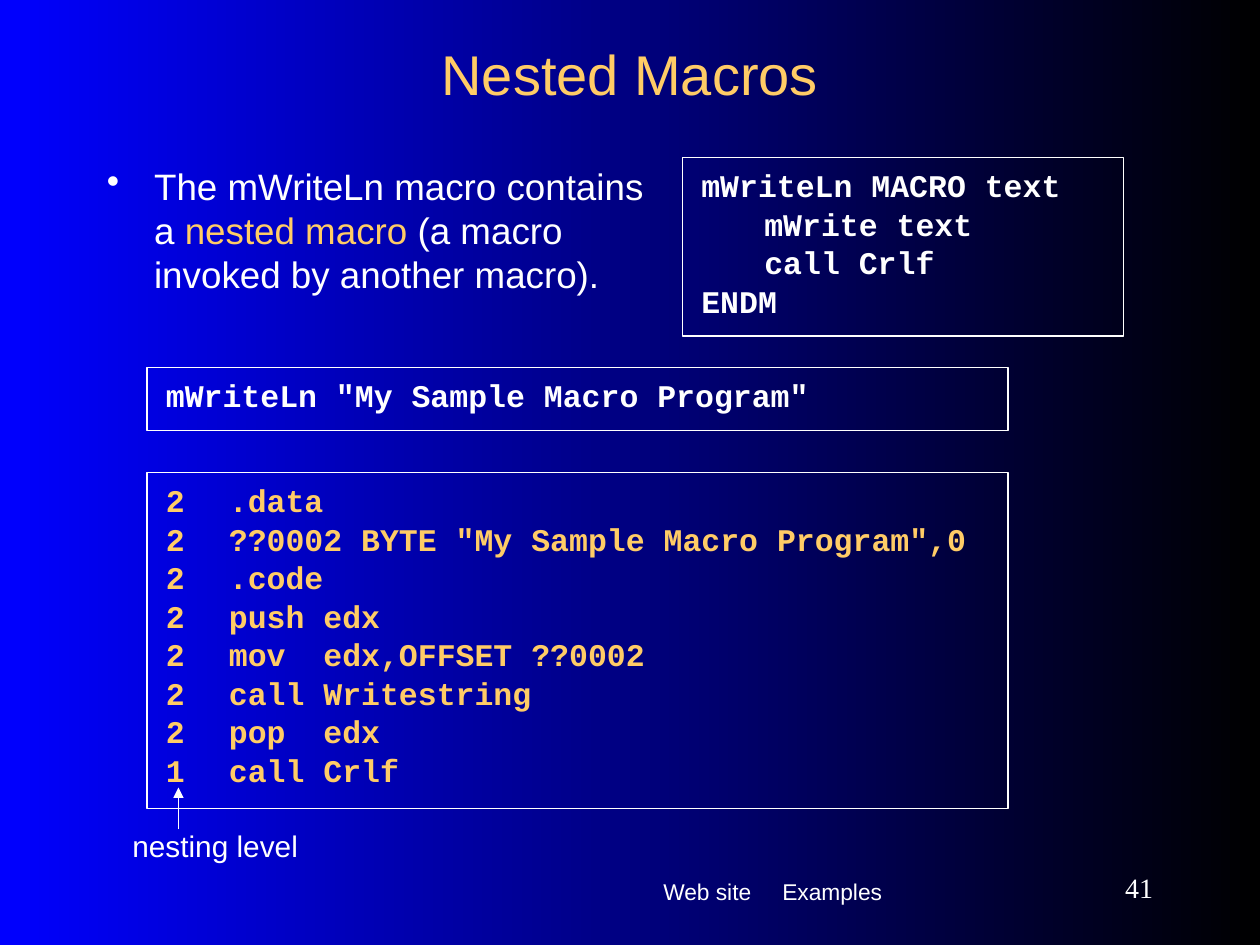
from dataclasses import dataclass

from lxml.etree import SubElement as sub
from pptx import Presentation
from pptx.dml.color import RGBColor as RGB
from pptx.enum.shapes import MSO_CONNECTOR as LINK, MSO_SHAPE as KIND
from pptx.enum.text import MSO_ANCHOR as ANCHOR, MSO_AUTO_SIZE as FIT, PP_ALIGN as ALIGN
from pptx.oxml.ns import qn
from pptx.util import Pt


@dataclass(frozen=True)
class Theme:
    white: RGB = RGB(255, 255, 255)
    gold: RGB = RGB(255, 204, 102)
    blue: RGB = RGB(0, 0, 255)
    black: RGB = RGB(0, 0, 0)
    sans: str = "Arial"
    mono: str = "Courier New"
    serif: str = "Times New Roman"
    head: int = 32
    body: int = 21
    code: int = 18
    label: int = 17
    page: int = 16
    foot: int = 13
    line: float = 0.75


T = Theme()

MACRO = ["mWriteLn MACRO text", "\tmWrite text", "\tcall Crlf", "ENDM"]
USE = ['mWriteLn "My Sample Macro Program"']
LISTING = [
    "2\t.data",
    '2\t??0002 BYTE "My Sample Macro Program",0',
    "2\t.code",
    "2\tpush edx",
    "2\tmov  edx,OFFSET ??0002",
    "2\tcall Writestring",
    "2\tpop  edx",
    "1\tcall Crlf",
]


def style(para, name, size, color, bold=False):
    font = para.font
    font.name, font.size, font.bold = name, Pt(size), bold
    font.color.rgb = color


def set_tab(para, pos):
    tabs = sub(para._p.get_or_add_pPr(), qn("a:tabLst"))
    sub(tabs, qn("a:tab"), pos=str(Pt(pos)), algn="l")


def set_frame(shape, pad_x, pad_y, anchor=ANCHOR.TOP):
    frame = shape.text_frame
    frame.word_wrap = True
    frame.auto_size = FIT.NONE
    frame.vertical_anchor = anchor
    frame.margin_left = frame.margin_right = Pt(pad_x)
    frame.margin_top = frame.margin_bottom = Pt(pad_y)
    return frame


def add_title(slide, text):
    title = slide.shapes.title
    title.left, title.top, title.width, title.height = map(Pt, (54, 18, 612, 48))
    para = set_frame(title, 7.2, 3.6, ANCHOR.MIDDLE).paragraphs[0]
    para.text = text
    para.alignment = ALIGN.CENTER
    style(para, T.sans, T.head, T.gold)


def add_text(slide, box, text, name, size, pad=10.8, align=ALIGN.LEFT,
             anchor=ANCHOR.TOP, tab=None):
    shape = slide.shapes.add_textbox(*map(Pt, box))
    para = set_frame(shape, 7.2, pad, anchor).paragraphs[0]
    para.text = text
    para.alignment = align
    if tab:
        set_tab(para, tab)
    style(para, name, size, T.white)


def add_bullet(slide, box, parts):
    """Add one bulleted paragraph from (text, color) parts."""
    shape = slide.shapes.add_textbox(*map(Pt, box))
    para = set_frame(shape, 7.2, 3.6).paragraphs[0]
    props = para._p.get_or_add_pPr()
    props.set("marL", str(Pt(27)))
    props.set("indent", str(Pt(-27)))
    tint = sub(props, qn("a:buClr"))
    sub(tint, qn("a:srgbClr"), val=str(T.white))
    sub(props, qn("a:buChar"), char="•")
    style(para, T.sans, T.body, T.white)
    for text, color in parts:
        run = para.add_run()
        run.text = text
        run.font.color.rgb = color


def add_code(slide, box, lines, color):
    shape = slide.shapes.add_shape(KIND.RECTANGLE, *map(Pt, box))
    shape.shadow.inherit = False
    shape.fill.background()
    shape.line.color.rgb = T.white
    shape.line.width = Pt(T.line)
    frame = set_frame(shape, 10.8, 14.4)
    for i, line in enumerate(lines):
        para = frame.add_paragraph() if i else frame.paragraphs[0]
        para.text = line
        para.alignment = ALIGN.LEFT
        para.line_spacing = 0.5
        if i:
            para.space_before = Pt(11.2)
        set_tab(para, 36)
        style(para, T.mono, T.code, color, bold=True)


def add_arrow(slide, x, start, end):
    link = slide.shapes.add_connector(LINK.STRAIGHT, Pt(x), Pt(start), Pt(x), Pt(end))
    link.line.color.rgb = T.white
    link.line.width = Pt(T.line)
    sub(link.line._get_or_add_ln(), qn("a:tailEnd"), type="triangle")
    sub(link._element.spPr, qn("a:effectLst"))


def set_back(slide):
    fill = slide.background.fill
    fill.gradient()
    fill.gradient_angle = 180
    for stop, color in zip(fill.gradient_stops, (T.black, T.blue)):
        stop.color.rgb = color


def main():
    deck = Presentation()
    deck.slide_width, deck.slide_height = Pt(720), Pt(540)
    slide = deck.slides.add_slide(deck.slide_layouts[5])
    set_back(slide)
    add_text(slide, (372, 491, 216, 37), "Web site\tExamples", T.sans, T.foot, tab=68)
    add_title(slide, "Nested Macros")
    add_bullet(slide, (54, 90, 330, 102), [
        ("The mWriteLn macro contains a ", T.white),
        ("nested macro", T.gold),
        (" (a macro invoked by another macro).", T.white),
    ])
    add_code(slide, (390, 90, 252, 102), MACRO, T.white)
    add_code(slide, (84, 210, 492, 36), USE, T.white)
    add_code(slide, (84, 270, 492, 192), LISTING, T.gold)
    add_text(slide, (18, 462, 210, 42), "nesting level", T.sans, T.label,
             align=ALIGN.CENTER)
    add_arrow(slide, 102, 474, 450)
    add_text(slide, (588, 492, 78, 30), "41", T.serif, T.page, pad=3.6,
             align=ALIGN.RIGHT, anchor=ANCHOR.MIDDLE)
    deck.save("out.pptx")


if __name__ == "__main__":
    main()
